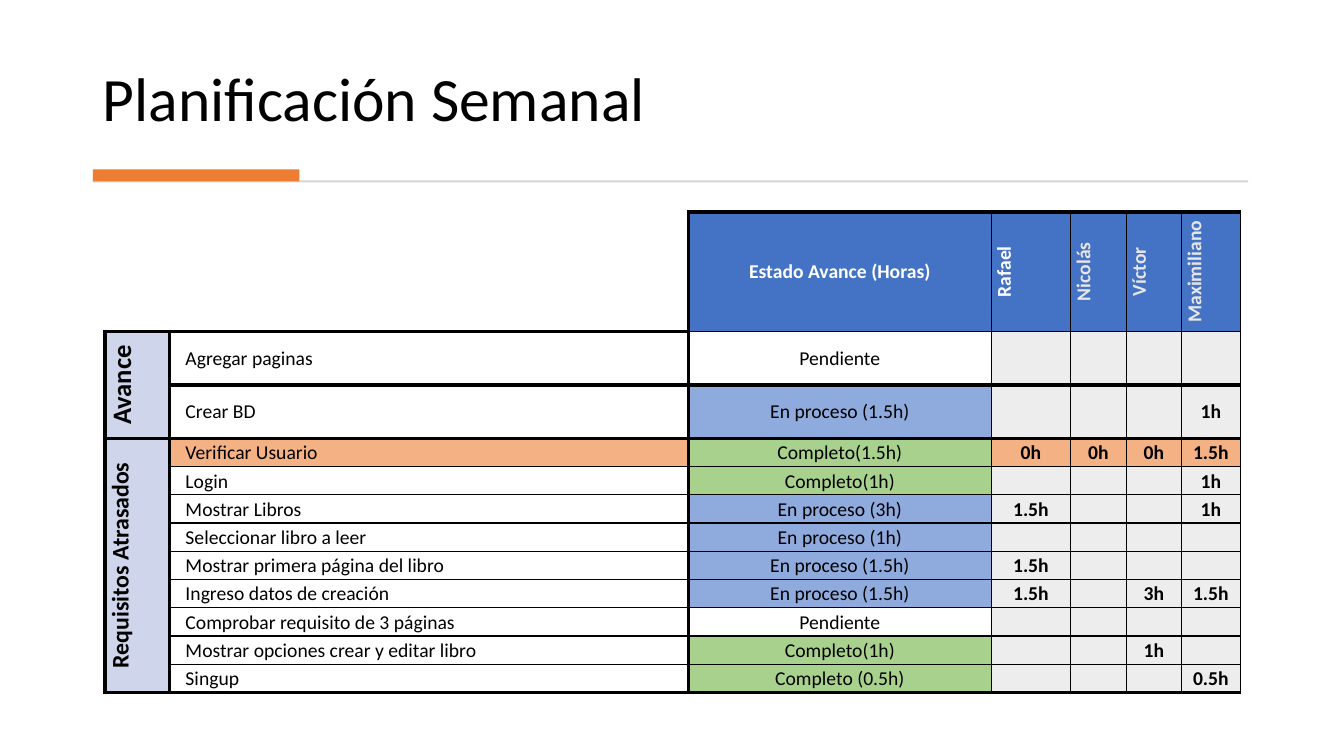
from lxml import etree
from pptx import Presentation
from pptx.dml.color import RGBColor
from pptx.enum.shapes import MSO_SHAPE
from pptx.enum.text import MSO_ANCHOR, PP_ALIGN
from pptx.oxml.ns import qn
from pptx.util import Inches, Pt

RECT = MSO_SHAPE.RECTANGLE
MIDDLE, BOTTOM = MSO_ANCHOR.MIDDLE, MSO_ANCHOR.BOTTOM
LEFT, CENTER, JUSTIFY = PP_ALIGN.LEFT, PP_ALIGN.CENTER, PP_ALIGN.JUSTIFY

COLORS = {
    "black": "000000", "white": "FFFFFF", "pale": "E7E6E6", "rule": "D5D5D5",
    "accent": "ED7D31", "header": "4472C4", "group": "CFD5EA", "hours": "EDEDED",
    "late": "F4B183", "Completo": "A9D18E", "En proceso": "8FAADC",
}


def write(p, text, align, color, **font):
    p.alignment = align
    r = p.add_run()
    r.text = text
    r.font.color.rgb = RGBColor.from_string(COLORS[color])
    for name, value in {"name": "Calibri", **font}.items():
        setattr(r.font, name, value)


def set_border(cell, side, color, points):
    ln = etree.SubElement(cell._tc.get_or_add_tcPr(), qn(f"a:ln{side}"), w=str(Pt(points)))
    fill = etree.SubElement(ln, qn("a:solidFill"))
    etree.SubElement(fill, qn("a:srgbClr"), val=COLORS[color])


prs = Presentation()
prs.slide_width, prs.slide_height = Inches(13.33), Inches(7.5)
s = prs.slides.add_slide(prs.slide_layouts[6])

# Title
sp = s.shapes.add_textbox(Inches(0.92), Inches(0.28), Inches(11.49), Inches(1.11))
tf = sp.text_frame
tf.word_wrap = True
tf.vertical_anchor = BOTTOM
p = tf.paragraphs[0]
p.line_spacing = 0.9
write(p, "Planificación Semanal", LEFT, "black", size=Pt(44))

# Rule with accent bar
for x, y, w, h, color in [(0.92, 1.79, 11.46, 0.02, "rule"), (0.92, 1.68, 2.05, 0.12, "accent")]:
    sp = s.shapes.add_shape(RECT, Inches(x), Inches(y), Inches(w), Inches(h))
    sp.shadow.inherit = False
    sp.fill.solid()
    sp.fill.fore_color.rgb = RGBColor.from_string(COLORS[color])
    sp.line.fill.background()

# Table content: group, task, status, hours per person
rows = [
    ["", "", "Estado Avance (Horas)", "Rafael", "Nicolás", "Víctor", "Maximiliano"],
    ["Avance", "Agregar paginas", "Pendiente", "", "", "", ""],
    ["", "Crear BD", "En proceso (1.5h)", "", "", "", "1h"],
    ["Requisitos Atrasados", "Verificar Usuario", "Completo(1.5h)", "0h", "0h", "0h", "1.5h"],
    ["", "Login", "Completo(1h)", "", "", "", "1h"],
    ["", "Mostrar Libros", "En proceso (3h)", "1.5h", "", "", "1h"],
    ["", "Seleccionar libro a leer", "En proceso (1h)", "", "", "", ""],
    ["", "Mostrar primera página del libro", "En proceso (1.5h)", "1.5h", "", "", ""],
    ["", "Ingreso datos de creación", "En proceso (1.5h)", "1.5h", "", "3h", "1.5h"],
    ["", "Comprobar requisito de 3 páginas", "Pendiente", "", "", "", ""],
    ["", "Mostrar opciones crear y editar libro", "Completo(1h)", "", "", "1h", ""],
    ["", "Singup", "Completo (0.5h)", "", "", "", "0.5h"],
]
col_widths = [0.64, 5.15, 3, 0.79, 0.55, 0.55, 0.58]
row_heights = [1.19] + [0.53] * 2 + [0.28] * 9
group_sizes = {"Avance": Pt(19), "Requisitos Atrasados": Pt(17)}
LATE_ROW = 3
THICK_LINES = (2, 3, len(rows))

table = s.shapes.add_table(len(rows), len(col_widths), Inches(1.04), Inches(2.1),
                           Inches(sum(col_widths)), Inches(sum(row_heights))).table
table.first_row = table.horz_banding = False
for column, width in zip(table.columns, col_widths):
    column.width = Inches(width)
for row, height in zip(table.rows, row_heights):
    row.height = Inches(height)

for i, row in enumerate(rows):
    for j, text in enumerate(row):
        cell = table.cell(i, j)
        corner = i == 0 and j < 2
        side_margin = Inches(0.16 if j == 1 else 0.01)
        layout = {"vertical_anchor": MIDDLE, "margin_left": side_margin,
                  "margin_right": side_margin, "margin_top": Inches(0.01), "margin_bottom": 0}
        for name, value in layout.items():
            setattr(cell, name, value)

        # Borders: thick around the groups, tasks and table blocks
        for side, x in (("L", j), ("R", j + 1)):
            outside = i == 0 and x < 2
            set_border(cell, side, "white" if outside else "black", 3 if x < 3 and not outside else 1)
        for side, y in (("T", i), ("B", i + 1)):
            if y == 0:
                thick = j >= 2
            else:
                thick = j == 0 or y in THICK_LINES or (y == 1 and j == 1)
            set_border(cell, side, "white" if corner and y == 0 else "black", 3 if thick else 1)

        # Fill
        if i == 0:
            fill = None if corner else "header"
        elif j == 0:
            fill = "group"
        elif j == 2:
            fill = next((k for k in ("Completo", "En proceso") if text.startswith(k)), None)
        elif i == LATE_ROW:
            fill = "late"
        else:
            fill = "hours" if j > 2 else None
        if fill:
            cell.fill.solid()
            cell.fill.fore_color.rgb = RGBColor.from_string(COLORS[fill])
        else:
            cell.fill.background()

        # Text
        p = cell.text_frame.paragraphs[0]
        if text:
            color = "black" if i else "pale" if j > 3 else "white"
            write(p, text, JUSTIFY if j == 1 else CENTER, color,
                  size=group_sizes.get(text, Pt(14)), bold=i == 0 or j not in (1, 2))
            if j == 0 or (i == 0 and j > 2):
                cell._tc.get_or_add_tcPr().set("vert", "vert270")
        else:
            etree.SubElement(p._p, qn("a:endParaRPr"), sz="1400")

# Groups span their rows
for first, last in ((1, 2), (3, len(rows) - 1)):
    table.cell(first, 0).merge(table.cell(last, 0))

prs.save("out.pptx")
